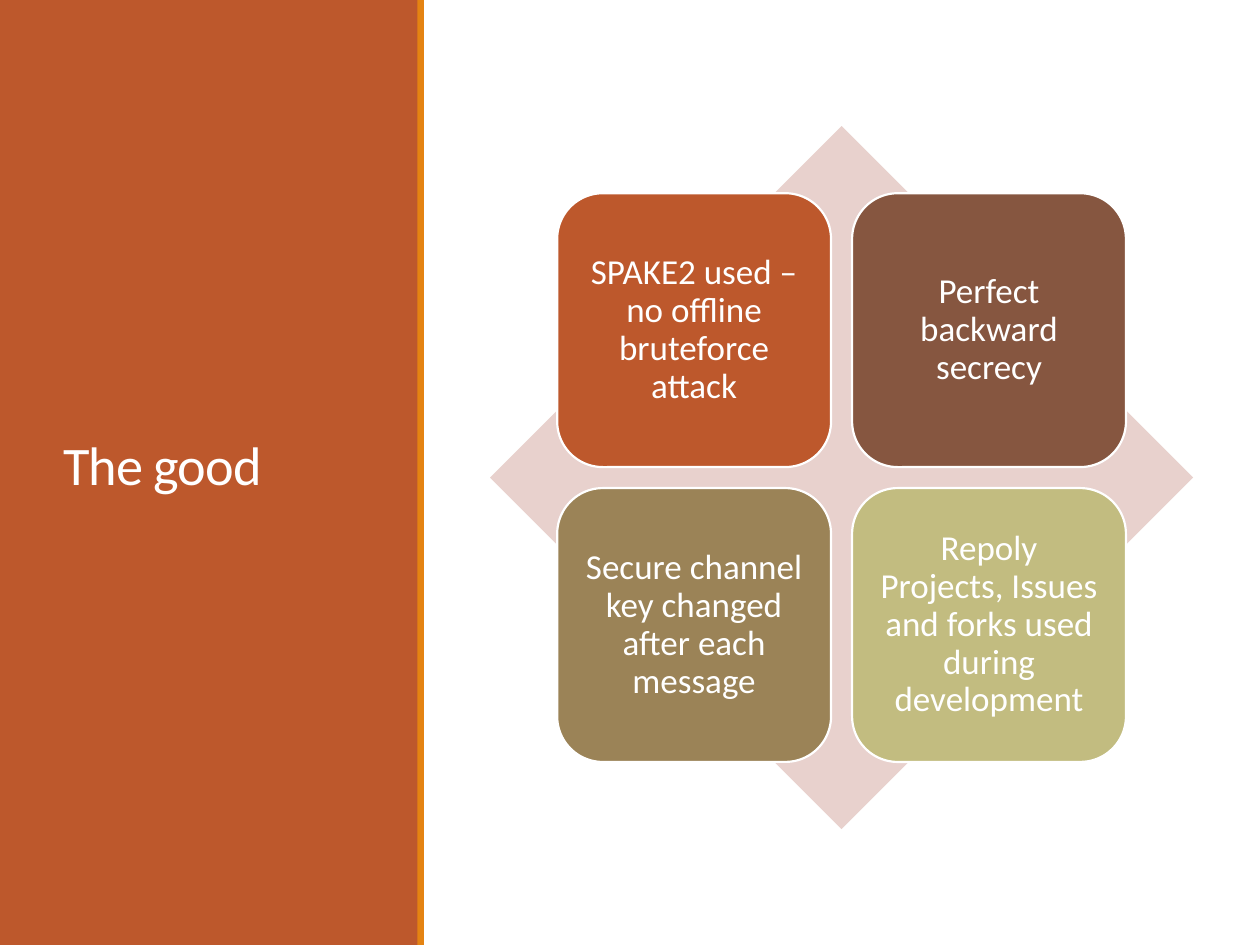
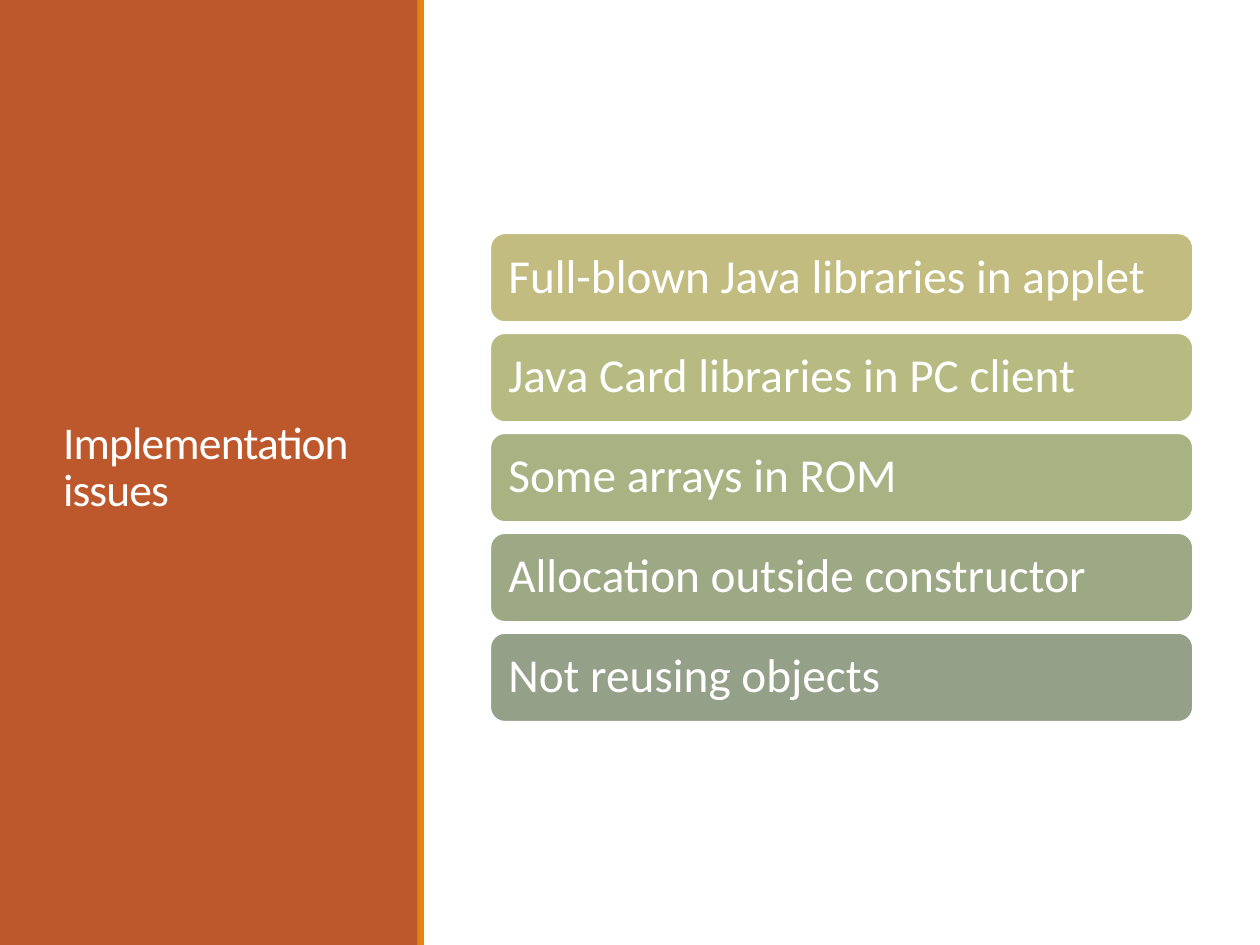
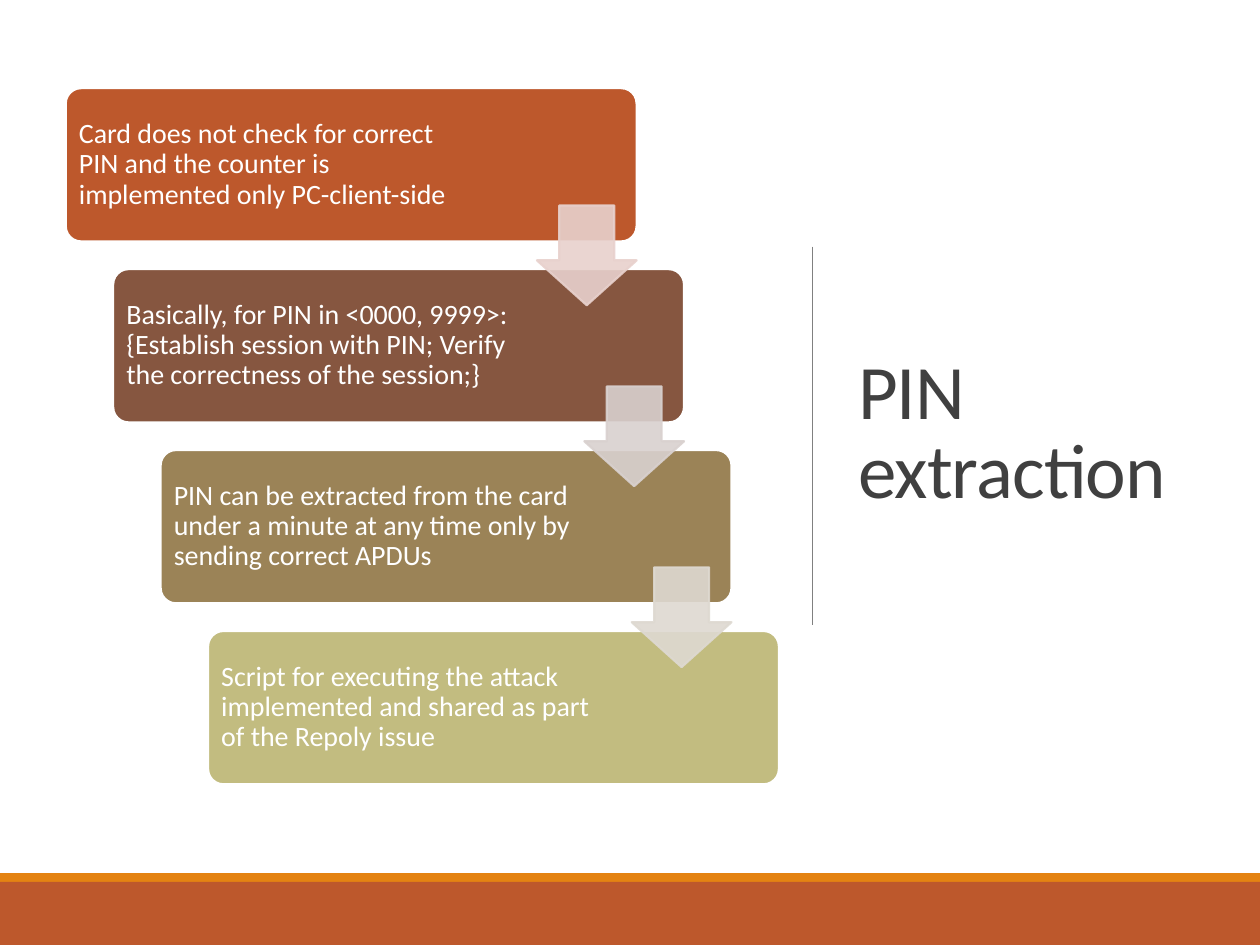
"""Build three slides on the security review of a card applet."""
from lxml import etree
from pptx import Presentation
from pptx.dml.color import RGBColor
from pptx.enum import shapes, text
from pptx.oxml.ns import qn
from pptx.util import Pt

FONT = "Calibri"
WHITE, RUST, ORANGE = "FFFFFF", "BD582C", "E48312"
DARK, GREY = "404040", "808080"
PALETTE = [RUST, "865640", "9B8357", "C2BC80"]
SHAPE = shapes.MSO_SHAPE
LEFT, CENTER = text.PP_ALIGN.LEFT, text.PP_ALIGN.CENTER


def add_block(slide, kind, box, fill, outline=None):
    shape = slide.shapes.add_shape(kind, *[Pt(length) for length in box])
    shape.shadow.inherit = False
    shape.fill.solid()
    shape.fill.fore_color.rgb = RGBColor.from_string(fill)
    if outline:
        shape.line.color.rgb = RGBColor.from_string(outline)
        shape.line.width = Pt(1.25)
    else:
        shape.line.fill.background()
    return shape


def write(shape, words, size, color=WHITE, align=LEFT, spacing=0.9, insets=(7.2, 3.6, 7.2, 3.6)):
    frame = shape.text_frame
    frame.word_wrap = True
    frame.auto_size = text.MSO_AUTO_SIZE.NONE
    frame.vertical_anchor = text.MSO_ANCHOR.MIDDLE
    frame.margin_left, frame.margin_top, frame.margin_right, frame.margin_bottom = map(Pt, insets)
    paragraph = frame.paragraphs[0]
    paragraph.alignment = align
    paragraph.line_spacing = spacing
    run = paragraph.add_run()
    run.text = words
    run.font.name = FONT
    run.font.size = Pt(size)
    run.font.color.rgb = RGBColor.from_string(color)
    return run


presentation = Presentation()
presentation.slide_width, presentation.slide_height = Pt(720), Pt(540)

side_title = (28.8, 41, 182.2, 454.3)
titles = [
    ("The good", 31, WHITE, side_title),
    ("Implementation issues", 26, WHITE, side_title),
    ("PIN extraction", 44, DARK, (483.1, 49.7, 199.4, 398.2)),
]
slides = []
for words, size, color, box in titles:
    slide = presentation.slides.add_slide(presentation.slide_layouts[5])
    title = slide.shapes.title
    title.left, title.top, title.width, title.height = map(Pt, box)
    run = write(title, words, size, color, spacing=0.85)
    run.font._element.set("spc", "-50")
    if box == side_title:
        bands = [((0, 0, 239, 540), RUST), ((238.5, 0, 3.8, 540), ORANGE)]
    else:
        bands = [((0, 499, 720, 5), ORANGE), ((0, 504, 720, 36), RUST)]
    for band_box, fill in bands:
        band = add_block(slide, SHAPE.RECTANGLE, band_box, fill)
        title.element.addprevious(band.element)
    slides.append(slide)
good_slide, issues_slide, extraction_slide = slides

content_left, content_width = 280, 401.8
diamond_top = 72
add_block(good_slide, SHAPE.DIAMOND, (content_left, diamond_top, content_width, content_width), "E8D1CD")
strengths = [
    "SPAKE2 used – no offline bruteforce attack",
    "Perfect backward secrecy",
    "Secure channel key changed after each message",
    "Repoly Projects, Issues and forks used during development",
]
tile_size, tile_gap = 156.5, 12
tile_offset = (content_width - tile_gap) / 2 - tile_size
for index, (words, fill) in enumerate(zip(strengths, PALETTE)):
    row, column = divmod(index, 2)
    left = content_left + tile_offset + column * (tile_size + tile_gap)
    top = diamond_top + tile_offset + row * (tile_size + tile_gap)
    tile = add_block(good_slide, SHAPE.ROUNDED_RECTANGLE, (left, top, tile_size, tile_size), fill, WHITE)
    write(tile, words, 20, align=CENTER, insets=[6] * 4)

issues = [
    ("Full-blown Java libraries in applet", "C2BC80"),
    ("Java Card libraries in PC client", "B7BA81"),
    ("Some arrays in ROM", "A8B283"),
    ("Allocation outside constructor", "9DA985"),
    ("Not reusing objects", "94A088"),
]
for index, (words, fill) in enumerate(issues):
    box = (content_left, 133.2 + index * 57.1, content_width, 51)
    bar = add_block(issues_slide, SHAPE.ROUNDED_RECTANGLE, box, fill, WHITE)
    write(bar, words, 27, insets=[8] * 4)

divider = extraction_slide.shapes.add_connector(
    shapes.MSO_CONNECTOR.STRAIGHT, Pt(464), Pt(141), Pt(464), Pt(357))
divider.line.color.rgb = RGBColor.from_string(GREY)
divider.line.width = Pt(0.5)
etree.SubElement(divider.element.spPr, qn("a:effectLst"))

steps = [
    ("Card does not check for correct PIN and the counter is implemented only PC-client-side", 101),
    ("Basically, for PIN in <0000, 9999>: {Establish session with PIN; Verify the correctness of the session;}", 89),
    ("PIN can be extracted from the card under a minute at any time only by sending correct APDUs", 89),
    ("Script for executing the attack implemented and shared as part of the Repoly issue", 89),
]
step_right, step_down = 27.1, 103.4
for index, ((words, right_inset), fill) in enumerate(zip(steps, PALETTE)):
    box = (37.6 + index * step_right, 50.4 + index * step_down, 326.2, 87.6)
    step = add_block(extraction_slide, SHAPE.ROUNDED_RECTANGLE, box, fill, WHITE)
    step.adjustments[0] = 0.1
    write(step, words, 16, insets=(5, 5, right_inset, 5))

for index, fill in enumerate(["E8D1CD", "D9D1CF", "DED9D1"]):
    box = (306.8 + index * step_right, 117.4 + index * step_down, 57, 57)
    arrow = add_block(extraction_slide, SHAPE.DOWN_ARROW, box, fill, fill)
    arrow.adjustments[0], arrow.adjustments[1] = 0.55, 0.45
    for color in arrow.element.spPr.iter(qn("a:srgbClr")):
        etree.SubElement(color, qn("a:alpha"), val="90000")

presentation.save("out.pptx")
